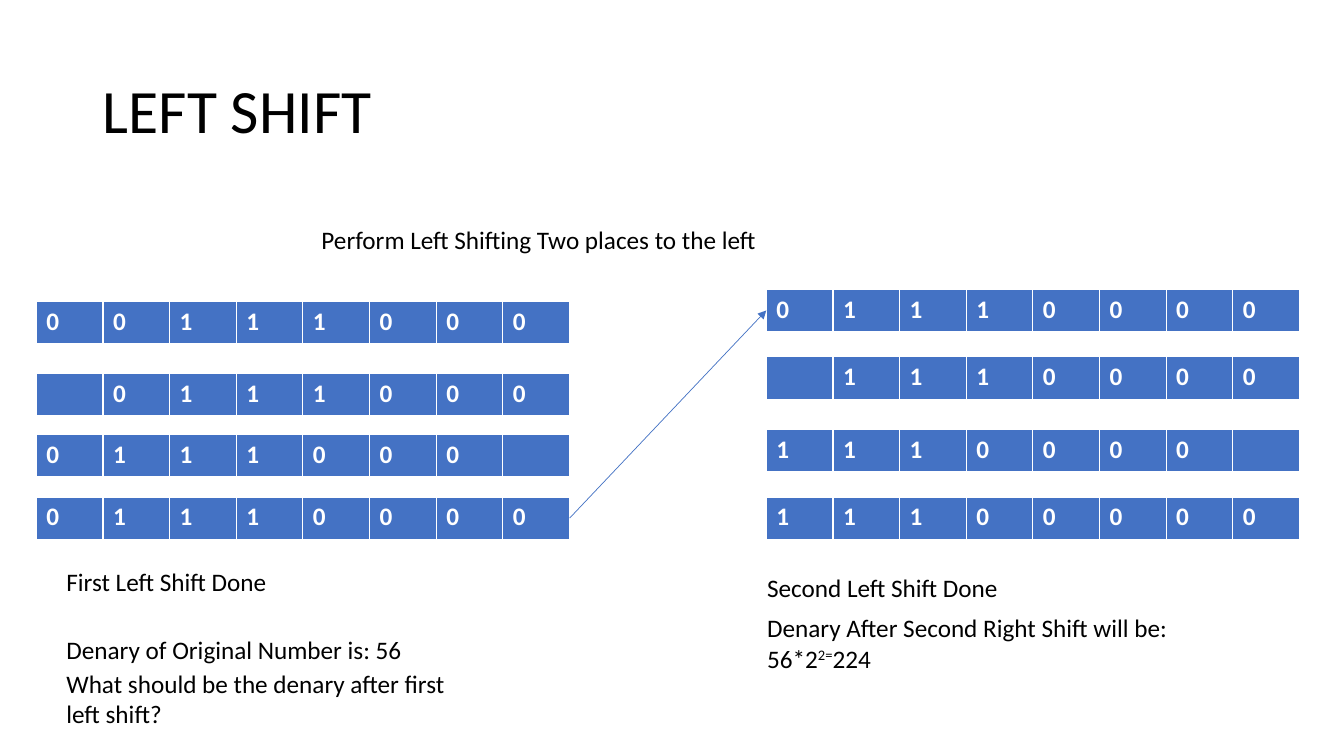
from lxml import etree
from pptx import Presentation
from pptx.dml.color import RGBColor
from pptx.enum.shapes import MSO_CONNECTOR
from pptx.enum.text import MSO_ANCHOR, MSO_AUTO_SIZE, PP_ALIGN
from pptx.oxml.ns import qn
from pptx.util import Inches, Pt

STRAIGHT = MSO_CONNECTOR.STRAIGHT
MIDDLE = MSO_ANCHOR.MIDDLE
NO_FIT, GROW = MSO_AUTO_SIZE.NONE, MSO_AUTO_SIZE.SHAPE_TO_FIT_TEXT
LEFT = PP_ALIGN.LEFT
TOP_SIDE, LEFT_SIDE, BOTTOM_SIDE, RIGHT_SIDE = range(4)

# Content: a space in a register is an empty bit
TITLE = "LEFT SHIFT"
REGISTER_STACKS = [
    # left edge, [(top, bits), ...]
    (0.36, [(2.99, "00111000"), (3.7, " 0111000"),
            (4.31, "0111000 "), (4.93, "01110000")]),
    (7.6, [(2.87, "01110000"), (3.54, " 1110000"),
           (4.26, "1110000 "), (4.93, "11100000")]),
]
# left, top, width, height, paragraphs of (text, superscript) runs
NOTES = [
    (3.09, 2.18, 4.52, 0.4, [[("Perform Left Shifting Two places to the left", False)]]),
    (0.56, 5.57, 4.32, 0.4, [[("First Left Shift Done", False)]]),
    (0.56, 6.24, 4.32, 0.4, [[("Denary of Original Number is: 56", False)]]),
    (0.56, 6.58, 4.32, 0.71,
     [[("What should be the denary after first left shift?", False)]]),
    (7.51, 5.63, 4.32, 0.4, [[("Second Left Shift Done", False)]]),
    (7.51, 6.03, 4.32, 0.71,
     [[("Denary After Second Right Shift will be:", False)],
      [("56*2", False), ("2=", True), ("224", False)]]),
]
FONT = "Calibri"
BLUE, WHITE, BLACK = "4472C4", "FFFFFF", "000000"
REGISTER_WIDTH, REGISTER_HEIGHT = 5.29, 0.42


def color(hex_string):
    return RGBColor.from_string(hex_string)


def add_text(paragraph, text, size=18, hex_color=BLACK, bold=False, superscript=False):
    run = paragraph.add_run()
    run.text = text
    run.font.name = FONT
    run.font.size = Pt(size)
    run.font.bold = bold
    run.font.color.rgb = color(hex_color)
    if superscript:
        run.font._element.set("baseline", "30000")


def add_register(slide, left, top, bits):
    frame = slide.shapes.add_table(1, len(bits), Inches(left), Inches(top),
                                   Inches(REGISTER_WIDTH), Inches(REGISTER_HEIGHT))
    for cell, bit in zip(frame.table.rows[0].cells, bits):
        cell.fill.solid()
        cell.fill.fore_color.rgb = color(BLUE)
        if bit != " ":
            add_text(cell.text_frame.paragraphs[0], bit, hex_color=WHITE, bold=True)
    return frame


def add_note(slide, left, top, width, height, paragraphs):
    box = slide.shapes.add_textbox(Inches(left), Inches(top), Inches(width), Inches(height))
    frame = box.text_frame
    frame.word_wrap = True
    frame.auto_size = GROW
    for index, runs in enumerate(paragraphs):
        paragraph = frame.add_paragraph() if index else frame.paragraphs[0]
        for text, superscript in runs:
            add_text(paragraph, text, superscript=superscript)


def add_arrow(slide, source, target):
    arrow = slide.shapes.add_connector(STRAIGHT, 0, 0, 0, 0)
    arrow.begin_connect(source, RIGHT_SIDE)
    arrow.end_connect(target, LEFT_SIDE)
    arrow.line.color.rgb = color(BLUE)
    arrow.line.width = Pt(0.5)
    etree.SubElement(arrow.line._get_or_add_ln(), qn("a:tailEnd"), type="triangle")
    etree.SubElement(arrow._element.spPr, qn("a:effectLst"))


def main():
    presentation = Presentation()
    presentation.slide_width = Inches(13.33)
    presentation.slide_height = Inches(7.5)
    slide = presentation.slides.add_slide(presentation.slide_layouts[5])

    # Title
    title = slide.shapes.title
    title.left, title.top = Inches(0.92), Inches(0.4)
    title.width, title.height = Inches(11.5), Inches(1.45)
    title.text_frame.vertical_anchor = MIDDLE
    title.text_frame.auto_size = NO_FIT
    heading = title.text_frame.paragraphs[0]
    heading.alignment = LEFT
    heading.line_spacing = 0.9
    add_text(heading, TITLE, size=44)

    # Registers, and the arrow from the first result to the second start
    first_stack, second_stack = [
        [add_register(slide, left, top, bits) for top, bits in registers]
        for left, registers in REGISTER_STACKS
    ]
    add_arrow(slide, first_stack[-1], second_stack[0])

    # Notes
    for note in NOTES:
        add_note(slide, *note)

    presentation.save("out.pptx")


if __name__ == "__main__":
    main()
